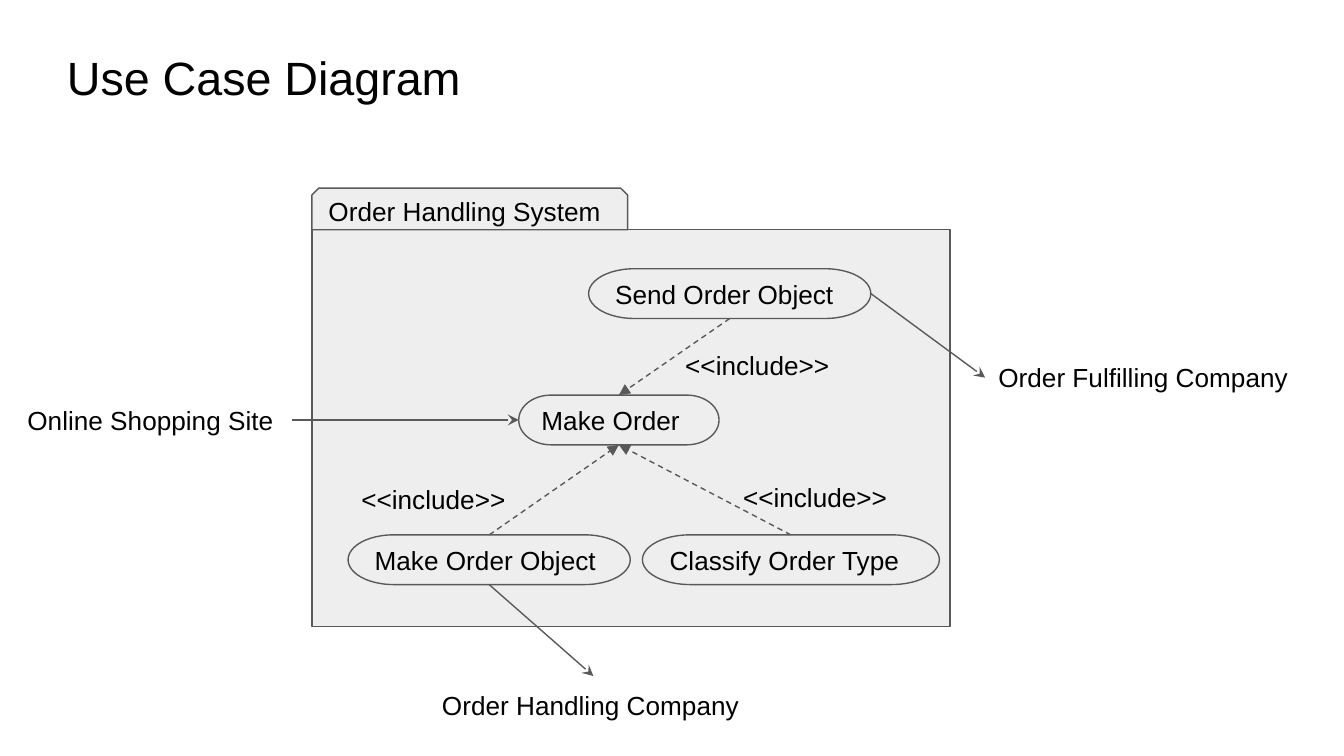
from lxml import etree
from pptx import Presentation
from pptx.dml.color import RGBColor
from pptx.enum import dml, shapes, text
from pptx.oxml import ns
from pptx.util import Inches, Pt

INK, EDGE, PANEL = "000000", "595959", "EEEEEE"
TOP, LEFT, BOTTOM, RIGHT = range(4)
OVAL = shapes.MSO_SHAPE.FLOWCHART_TERMINATOR


def color(hex_value):
    """Turn a hex string into a colour."""
    return RGBColor.from_string(hex_value)


def write(shape, wording, size=14, align=text.PP_ALIGN.LEFT, anchor=text.MSO_ANCHOR.MIDDLE):
    """Put one line of styled text into a shape."""
    frame = shape.text_frame
    frame.text = wording
    frame.word_wrap = True
    frame.vertical_anchor = anchor
    frame.margin_left = frame.margin_right = Inches(0.1)
    frame.margin_top = frame.margin_bottom = Inches(0.1)
    paragraph = frame.paragraphs[0]
    paragraph.alignment = align
    font = paragraph.runs[0].font
    font.name, font.size = "Arial", Pt(size)
    font.color.rgb = color(INK)


def add_label(slide, wording, left, top, width, height=0.44, **style):
    """Add free-standing text."""
    label = slide.shapes.add_textbox(*map(Inches, (left, top, width, height)))
    write(label, wording, anchor=text.MSO_ANCHOR.TOP, **style)
    return label


def add_box(slide, kind, left, top, width, height, wording=None):
    """Add a grey outlined shape, with text if given."""
    box = slide.shapes.add_shape(kind, *map(Inches, (left, top, width, height)))
    box.shadow.inherit = False
    box.fill.solid()
    box.fill.fore_color.rgb = color(PANEL)
    box.line.color.rgb = color(EDGE)
    box.line.width = Pt(0.75)
    if wording:
        write(box, wording)
    return box


def add_use_case(slide, wording, left, top, width):
    """Add a use case oval."""
    return add_box(slide, OVAL, left, top, width, 0.37, wording)


def add_arrow(slide, source, source_side, target, target_side, include=False):
    """Join two shapes; an include relation is dashed with a solid head."""
    arrow = slide.shapes.add_connector(shapes.MSO_CONNECTOR.STRAIGHT, 0, 0, 0, 0)
    arrow.begin_connect(source, source_side)
    arrow.end_connect(target, target_side)
    arrow.line.color.rgb = color(EDGE)
    arrow.line.width = Pt(0.75)
    if include:
        arrow.line.dash_style = dml.MSO_LINE.DASH
    head = etree.SubElement(arrow.line._get_or_add_ln(), ns.qn("a:tailEnd"))
    head.set("type", "triangle" if include else "stealth")
    etree.SubElement(arrow._element.spPr, ns.qn("a:effectLst"))


def main():
    """Build the use case diagram."""
    deck = Presentation()
    deck.slide_width = Inches(10)
    deck.slide_height = deck.slide_width * 9 // 16
    slide = deck.slides.add_slide(deck.slide_layouts[6])

    add_box(slide, shapes.MSO_SHAPE.RECTANGLE, 2.32, 1.71, 4.75, 2.95)
    shopping_site = add_label(slide, "Online Shopping Site", 0.07, 2.91, 2.1, 0.43,
                              align=text.PP_ALIGN.CENTER)
    fulfilling_company = add_label(slide, "Order Fulfilling Company", 7.33, 2.59, 2.45)
    handling_company = add_label(slide, "Order Handling Company", 3.19, 5.03, 2.45)

    make_order = add_use_case(slide, "Make Order", 3.86, 2.94, 1.49)
    send_object = add_use_case(slide, "Send Order Object", 4.38, 2, 2.1)
    make_object = add_use_case(slide, "Make Order Object", 2.59, 3.98, 2.1)
    classify_type = add_use_case(slide, "Classify Order Type", 4.78, 3.98, 2.21)

    add_arrow(slide, shopping_site, RIGHT, make_order, LEFT)
    add_arrow(slide, send_object, RIGHT, fulfilling_company, LEFT)
    add_arrow(slide, make_object, BOTTOM, handling_company, TOP)

    for part, side, order_side, left, top in (
        (send_object, BOTTOM, TOP, 5, 2.5),
        (make_object, TOP, BOTTOM, 2.59, 3.5),
        (classify_type, TOP, BOTTOM, 5.43, 3.48),
    ):
        add_arrow(slide, part, side, make_order, order_side, include=True)
        add_label(slide, "<<include>>", left, top, 1.42)

    add_label(slide, "Use Case Diagram", 0.4, 0.26, 7.48, 0.62, size=25)
    add_box(slide, shapes.MSO_SHAPE.SNIP_2_SAME_RECTANGLE,
            2.32, 1.4, 2.35, 0.31, "Order Handling System")

    deck.save("out.pptx")


main()
